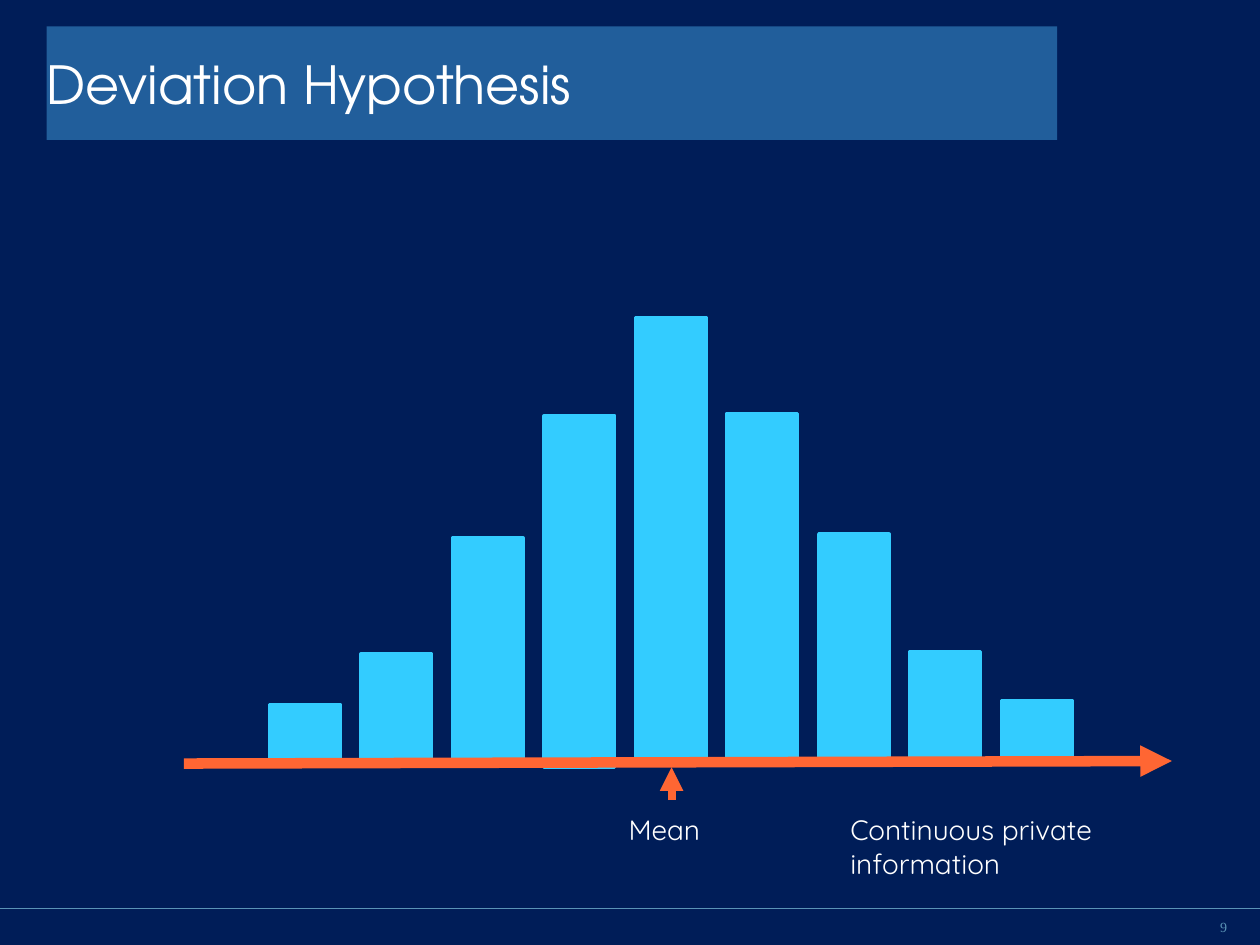
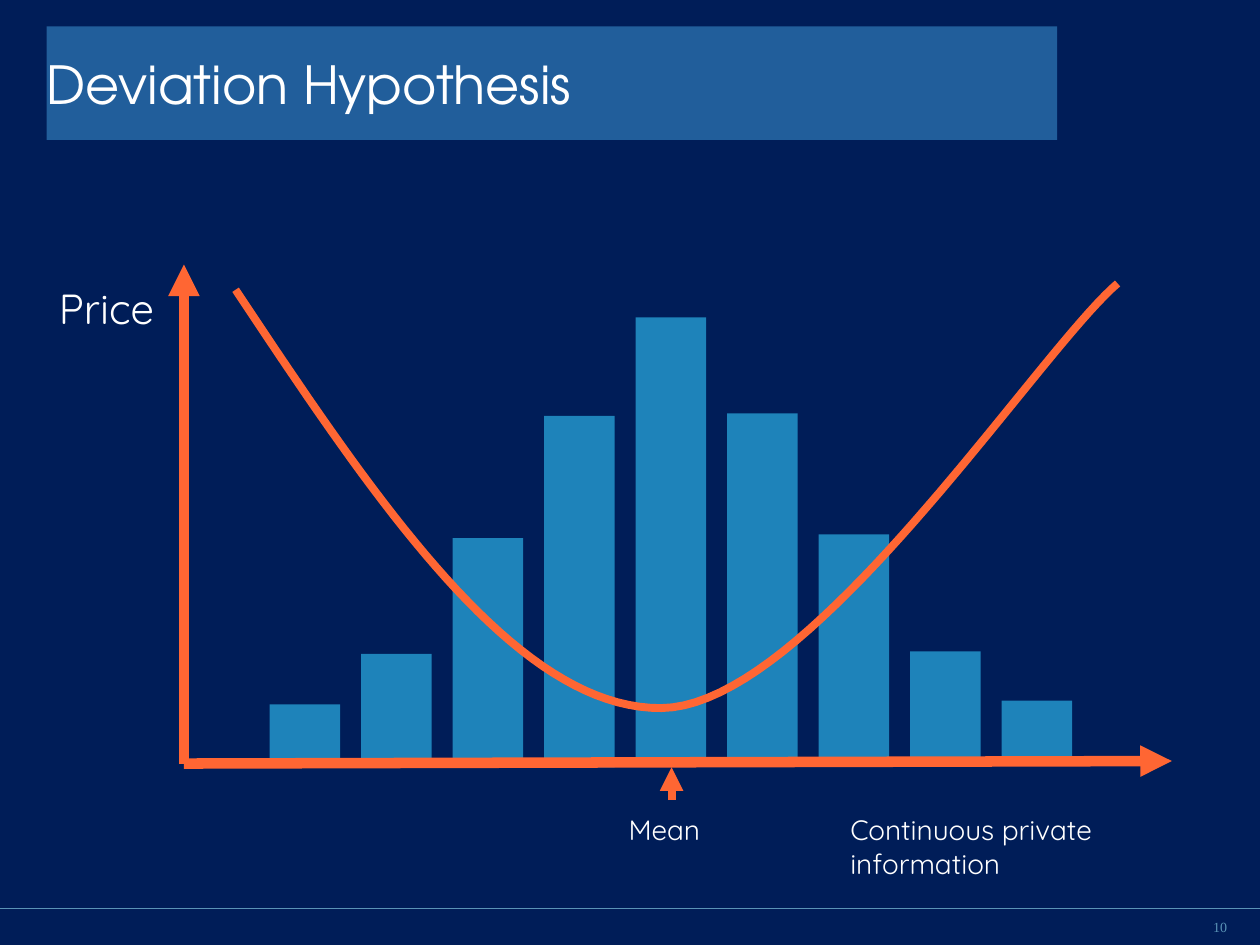
from dataclasses import dataclass
from typing import NamedTuple

from pptx import Presentation
from pptx.dml.color import RGBColor
from pptx.enum.shapes import MSO_CONNECTOR, MSO_SHAPE
from pptx.enum.text import MSO_ANCHOR as Anchor, MSO_AUTO_SIZE as AutoSize, PP_ALIGN as Align
from pptx.oxml.ns import qn
from pptx.util import Inches, Pt
from lxml.etree import SubElement


@dataclass(frozen=True)
class Theme:
    navy: str = "001D58"
    band: str = "215E9B"
    bar: str = "33CCFF"
    accent: str = "FF6633"
    muted: str = "5A93B6"
    white: str = "FFFFFF"
    title_font: str = "TeX Gyre Adventor"
    body_font: str = "Quicksand"
    number_font: str = "Times New Roman"
    title_size: int = 30
    axis_size: int = 24
    label_size: int = 16
    number_size: int = 8
    axis_width: float = 6
    curve_width: float = 4.5
    bar_outline: float = 2
    rule_width: float = 0.75


T = Theme()


class Box(NamedTuple):
    left: float
    top: float
    width: float
    height: float

    def emu(self) -> list[int]:
        return [Inches(v) for v in self]


class Label(NamedTuple):
    text: str
    box: Box
    size: int = T.label_size
    font: str = T.body_font
    color: str = T.white
    align: Align = Align.LEFT
    anchor: Anchor = Anchor.TOP
    inset: float = 0.1


class Line(NamedTuple):
    start: tuple[float, float]
    end: tuple[float, float]
    width: float
    color: str = T.accent
    arrow: bool = True


TITLE = Label("Deviation Hypothesis", Box(0.37, 0.21, 8.02, 0.9), T.title_size,
              T.title_font, anchor=Anchor.MIDDLE, inset=0)
INFORMATION = Label("Continuous private information", Box(6.65, 6.35, 2.33, 0.73))
MEAN = Label("Mean", Box(4.89, 6.35, 2.33, 0.47))
PRICE = Label("Price", Box(0.37, 2.14, 2.33, 0.6), T.axis_size)
NUMBER_BOX = Box(9.3, 7.28, 0.44, 0.15)

ORIGIN = (1.46, 6.06)
FOOTER_RULE = Line((0, 7.21), (10, 7.21), T.rule_width, T.muted, arrow=False)
INFORMATION_AXIS = Line(ORIGIN, (9.3, 6.04), T.axis_width)
PRICE_AXIS = Line(ORIGIN, (1.46, 2.1), T.axis_width)
MEAN_POINTER = Line((5.33, 6.35), (5.33, 6.09), T.curve_width)

BAR_WIDTH = 0.56
FIRST_BAR, LAST_BAR = 2.14, 7.95
BAR_TOPS = (5.59, 5.19, 4.27, 3.3, 2.52, 3.28, 4.24, 5.17, 5.56)
RISING_HEIGHTS = (0.48, 0.87, 1.79, 2.79)
BAR_HEIGHTS = (*RISING_HEIGHTS, 3.54, *reversed(RISING_HEIGHTS))

# Start point, then two control points and an end point per Bézier section
PRICE_CURVE = ((1.87, 2.3),
               (2.98, 3.97), (4.09, 5.63), (5.25, 5.62),
               (6.42, 5.61), (8.23, 2.8), (8.87, 2.25))
CURVE_STEPS = 40


def rgb(color: str) -> RGBColor:
    return RGBColor.from_string(color)


def set_attrs(target, values: dict) -> None:
    for name, value in values.items():
        setattr(target, name, value)


def set_line(line, color: str, width: float) -> None:
    line.color.rgb = rgb(color)
    line.width = Pt(width)


def write_label(sp, label: Label) -> None:
    tf = sp.text_frame
    inset = Inches(label.inset)
    set_attrs(tf, {"word_wrap": True, "auto_size": AutoSize.NONE,
                   "vertical_anchor": label.anchor,
                   "margin_left": inset, "margin_right": inset,
                   "margin_top": inset, "margin_bottom": inset})
    p = tf.paragraphs[0]
    p.alignment = label.align
    r = p.add_run()
    r.text = label.text
    set_attrs(r.font, {"name": label.font, "size": Pt(label.size)})
    r.font.color.rgb = rgb(label.color)


def add_label(slide, label: Label) -> None:
    write_label(slide.shapes.add_textbox(*label.box.emu()), label)


def add_line(slide, line: Line) -> None:
    ends = [Inches(v) for v in (*line.start, *line.end)]
    cxn = slide.shapes.add_connector(MSO_CONNECTOR.STRAIGHT, *ends)
    set_line(cxn.line, line.color, line.width)
    if line.arrow:
        SubElement(cxn.line._get_or_add_ln(), qn("a:tailEnd"), type="triangle")
    SubElement(cxn.element.spPr, qn("a:effectLst"))


def add_bars(slide, opacity: int) -> None:
    """Group the histogram bars; only fully opaque bars have an outline."""
    group = slide.shapes.add_group_shape()
    pitch = (LAST_BAR - FIRST_BAR) / (len(BAR_TOPS) - 1)
    for i, (top, height) in enumerate(zip(BAR_TOPS, BAR_HEIGHTS)):
        box = Box(FIRST_BAR + i * pitch, top, BAR_WIDTH, height)
        sp = group.shapes.add_shape(MSO_SHAPE.RECTANGLE, *box.emu())
        sp.shadow.inherit = False
        sp.fill.solid()
        sp.fill.fore_color.rgb = rgb(T.bar)
        if opacity == 100:
            set_line(sp.line, T.bar, T.bar_outline)
        else:
            sp.line.fill.background()
            color = sp.element.spPr.find(f"{qn('a:solidFill')}/{qn('a:srgbClr')}")
            SubElement(color, qn("a:alpha"), val=str(opacity * 1000))


def bezier(points, t: float) -> tuple[int, int]:
    weights = ((1 - t) ** 3, 3 * t * (1 - t) ** 2, 3 * t ** 2 * (1 - t), t ** 3)
    x, y = (sum(w * v for w, v in zip(weights, axis)) for axis in zip(*points))
    return Inches(x), Inches(y)


def add_price_curve(slide) -> None:
    builder = slide.shapes.build_freeform(*bezier(PRICE_CURVE[:4], 0))
    for first in range(0, len(PRICE_CURVE) - 1, 3):
        section = PRICE_CURVE[first:first + 4]
        builder.add_line_segments(
            [bezier(section, step / CURVE_STEPS) for step in range(1, CURVE_STEPS + 1)],
            close=False)
    sp = builder.convert_to_shape()
    sp.shadow.inherit = False
    sp.fill.background()
    set_line(sp.line, T.accent, T.curve_width)


def add_histogram_slide(prs, number: int, opacity: int, with_price: bool) -> None:
    slide = prs.slides.add_slide(prs.slide_layouts[5])
    add_line(slide, FOOTER_RULE)
    title = slide.shapes.title
    set_attrs(title, dict(zip(("left", "top", "width", "height"), TITLE.box.emu())))
    title.fill.solid()
    title.fill.fore_color.rgb = rgb(T.band)
    write_label(title, TITLE)

    if with_price:
        add_line(slide, PRICE_AXIS)
        add_label(slide, PRICE)
    add_label(slide, INFORMATION)
    add_bars(slide, opacity)
    add_line(slide, INFORMATION_AXIS)
    add_line(slide, MEAN_POINTER)
    add_label(slide, MEAN)
    if with_price:
        add_price_curve(slide)
    add_label(slide, Label(str(number), NUMBER_BOX, T.number_size, T.number_font,
                           T.muted, Align.RIGHT, Anchor.MIDDLE, 0))


def main() -> None:
    prs = Presentation()
    set_attrs(prs, {"slide_width": Inches(10), "slide_height": Inches(7.5)})
    background = prs.slide_master.background.fill
    background.solid()
    background.fore_color.rgb = rgb(T.navy)
    add_histogram_slide(prs, number=9, opacity=100, with_price=False)
    add_histogram_slide(prs, number=10, opacity=59, with_price=True)
    prs.save("out.pptx")


if __name__ == "__main__":
    main()
